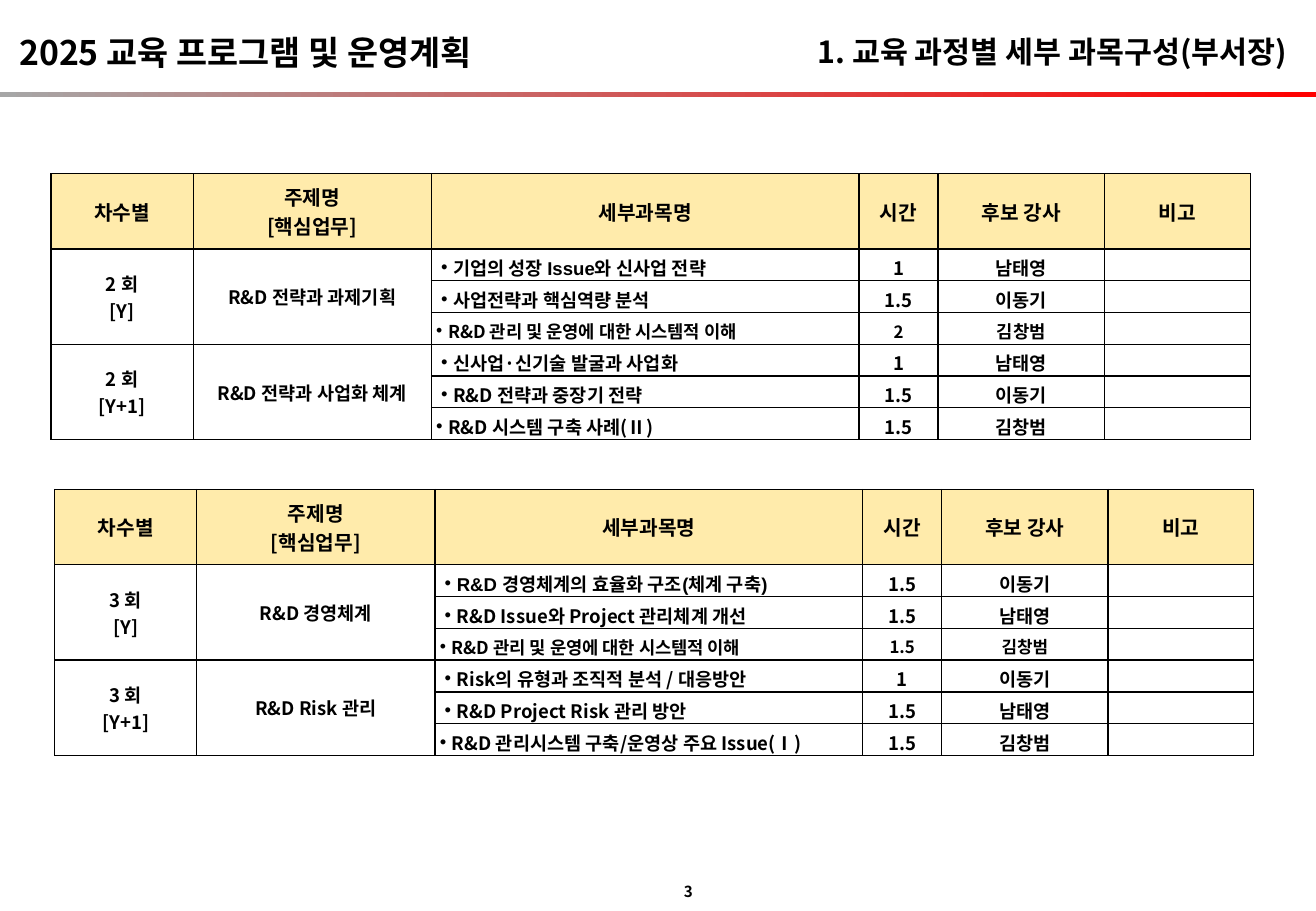
from lxml import etree
from pptx import Presentation
from pptx.dml.color import RGBColor
from pptx.enum.shapes import MSO_SHAPE
from pptx.enum.text import MSO_ANCHOR, PP_ALIGN
from pptx.oxml.ns import qn
from pptx.util import Emu, Inches, Pt

LEFT, CENTER, RIGHT = PP_ALIGN.LEFT, PP_ALIGN.CENTER, PP_ALIGN.RIGHT
MIDDLE = MSO_ANCHOR.MIDDLE
RECTANGLE = MSO_SHAPE.RECTANGLE

COLORS = {"text": "000000", "border": "000000", "header": "FFEBAB",
          "bar_start": "A6A6A6", "bar_end": "FF0000"}
KOREAN, LATIN = "Noto Sans CJK KR", "Arial"

COLUMNS = [1.17, 1.96, 3.52, 0.65, 1.37, 1.2]
HEADER_HEIGHT, TABLE_HEIGHT, COURSE_ROWS = 0.62, 2.19, 6
ROW_HEIGHT = (TABLE_HEIGHT - HEADER_HEIGHT) / COURSE_ROWS
GROUP = 3  # course rows that share one session and topic
HEADERS = ["차수별", "주제명\n[핵심업무]", "세부과목명", "시간", "후보 강사", "비고"]

# Each table: left, top, sessions with topics, courses, sizes of the third row
TABLES = [
    (0.42, 1.43,
     [("2 회\n[Y]", "R&D 전략과 과제기획"),
      ("2 회\n[Y+1]", "R&D 전략과 사업화 체계")],
     [("기업의 성장 Issue와 신사업 전략", "1", "남태영", LATIN),
      ("사업전략과 핵심역량 분석", "1.5", "이동기", LATIN),
      ("R&D 관리 및 운영에 대한 시스템적 이해", "2", "김창범", KOREAN),
      ("신사업·신기술 발굴과 사업화", "1", "남태영", KOREAN),
      ("R&D 전략과 중장기 전략", "1.5", "이동기", KOREAN),
      ("R&D 시스템 구축 사례(Ⅱ)", "1.5", "김창범", KOREAN)],
     [10.5, 10, 10.5]),
    (0.45, 4.03,
     [("3 회\n[Y]", "R&D 경영체계"),
      ("3 회\n[Y+1]", "R&D Risk 관리")],
     [("R&D 경영체계의 효율화 구조(체계 구축)", "1.5", "이동기", LATIN),
      ("R&D Issue와 Project 관리체계 개선", "1.5", "남태영", KOREAN),
      ("R&D 관리 및 운영에 대한 시스템적 이해", "1.5", "김창범", KOREAN),
      ("Risk의 유형과 조직적 분석 / 대응방안", "1", "이동기", KOREAN),
      ("R&D Project Risk 관리 방안", "1.5", "남태영", KOREAN),
      ("R&D 관리시스템 구축/운영상 주요 Issue(Ⅰ)", "1.5", "김창범", KOREAN)],
     [10.5, 10, 10]),
]


def write_text(frame, text, size, alignment, font=KOREAN):
    for index, line in enumerate(text.split("\n")):
        paragraph = frame.paragraphs[0] if index == 0 else frame.add_paragraph()
        paragraph.alignment = alignment
        run = paragraph.add_run()
        run.text = line
        run.font.size = Pt(size)
        run.font.bold = True
        run.font.name = font
        run.font.color.rgb = RGBColor.from_string(COLORS["text"])
        east_asian = etree.SubElement(run.font._element, qn("a:ea"))
        east_asian.set("typeface", KOREAN)


def set_borders(cell, widths):
    properties = cell._tc.get_or_add_tcPr()
    for index, (side, width) in enumerate(zip("LRTB", widths)):
        line = etree.Element(qn(f"a:ln{side}"), w=str(Pt(width)))
        fill = etree.SubElement(line, qn("a:solidFill"))
        etree.SubElement(fill, qn("a:srgbClr"), val=COLORS["border"])
        properties.insert(index, line)


presentation = Presentation()
presentation.slide_width, presentation.slide_height = Inches(10.83), Inches(7.5)
slide = presentation.slides.add_slide(presentation.slide_layouts[6])

# Gradient bar under the titles
bar = slide.shapes.add_shape(RECTANGLE, 0, Inches(0.76),
                             presentation.slide_width, Inches(0.04))
bar.shadow.inherit = False
bar.line.fill.background()
bar.fill.gradient()
bar.fill.gradient_angle = 0
for stop, name in zip(bar.fill.gradient_stops, ("bar_start", "bar_end")):
    stop.color.rgb = RGBColor.from_string(COLORS[name])

# Titles and page number
for text, box, size, alignment in [
    ("1. 교육 과정별 세부 과목구성(부서장)", (6.2, 0.22, 4.49, 0.4), 18, RIGHT),
    ("3", (5.52, 7.21, 0.28, 0.25), 9, RIGHT),
    ("2025 교육 프로그램 및 운영계획", (0.06, 0.21, 4.5, 0.44), 20, LEFT),
]:
    frame = slide.shapes.add_textbox(*map(Inches, box)).text_frame
    frame.word_wrap = True
    frame.vertical_anchor = MIDDLE
    frame.margin_top = frame.margin_bottom = 0
    write_text(frame, text, size, alignment)

# Course tables
for left, top, sessions, courses, third_row_sizes in TABLES:
    table = slide.shapes.add_table(
        COURSE_ROWS + 1, len(COLUMNS), Inches(left), Inches(top),
        Inches(sum(COLUMNS)), Inches(TABLE_HEIGHT)).table
    table.first_row = table.horz_banding = False
    for column, width in zip(table.columns, COLUMNS):
        column.width = Inches(width)
    for index, row in enumerate(table.rows):
        row.height = Inches(ROW_HEIGHT if index else HEADER_HEIGHT)

    for r in range(COURSE_ROWS + 1):
        for c in range(len(COLUMNS)):
            cell = table.cell(r, c)
            cell.vertical_anchor = MIDDLE
            narrow = r == 0 or c < 2 or (c == 2 and r % GROUP == 0)
            cell.margin_left = cell.margin_right = Inches(0.04 if narrow else 0.08)
            cell.margin_top = Inches(0.04)
            cell.margin_bottom = Inches(0.04 if r == 0 or c < 2 else 0)
            text, size, font, alignment = "", 11, KOREAN, CENTER
            if r == 0:
                text, size = HEADERS[c], 12
            elif c < 2:
                if r % GROUP == 1:
                    text = sessions[r // GROUP][c]
            elif c < 5:
                text = courses[r - 1][c - 2]
                if r == GROUP:
                    size = third_row_sizes[c - 2]
                if c == 2:
                    font, alignment = courses[r - 1][3], LEFT
            if text:
                write_text(cell.text_frame, text, size, alignment, font)
            else:
                etree.SubElement(cell.text_frame.paragraphs[0]._p,
                                 qn("a:endParaRPr"), sz="1000")

            # Bulleted course names
            if r and c == 2:
                bullet = cell.text_frame.paragraphs[0]._p.get_or_add_pPr()
                bullet.set("marL", str(Inches(0.1)))
                bullet.set("indent", str(Emu(-Inches(0.1))))
                etree.SubElement(bullet, qn("a:buFont"), typeface=LATIN)
                etree.SubElement(bullet, qn("a:buChar"), char="•")

            # Fill and borders
            if r == 0:
                cell.fill.solid()
                cell.fill.fore_color.rgb = RGBColor.from_string(COLORS["header"])
            else:
                cell.fill.background()
            set_borders(cell, (0.75 if c <= 2 else 1,
                               0.75 if c in (0, 1, 5) else 1,
                               0.75 if r <= 1 or c == 1 else 1,
                               0.75 if r == 0 or c == 1 else 1))

    # Sessions and topics span their course rows
    for first in range(1, COURSE_ROWS, GROUP):
        for c in range(2):
            table.cell(first, c).merge(table.cell(first + GROUP - 1, c))

presentation.save("out.pptx")
